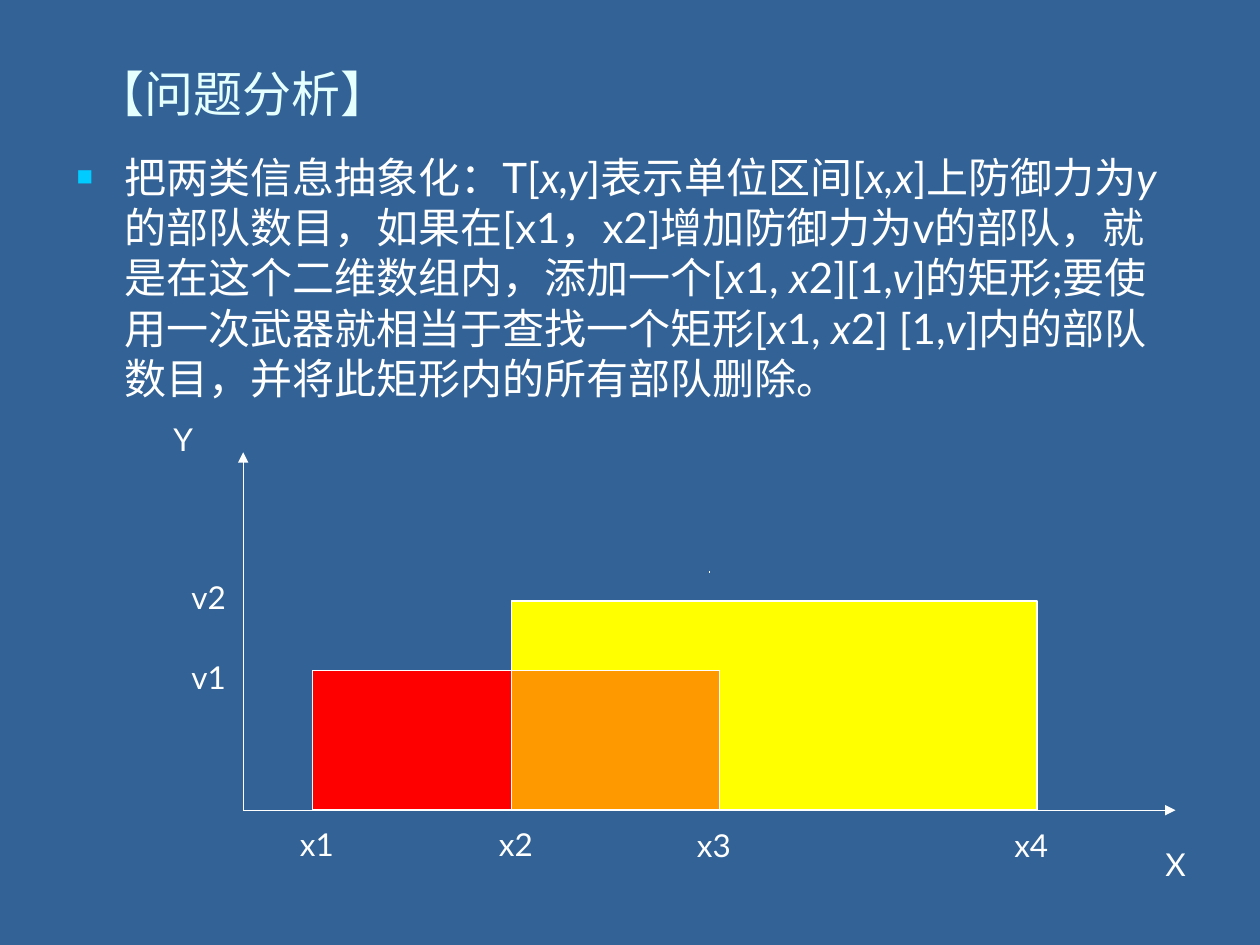
from collections import namedtuple

from lxml import etree
from pptx import Presentation
from pptx.dml.color import RGBColor
from pptx.enum.shapes import MSO_CONNECTOR, MSO_SHAPE
from pptx.enum.text import MSO_ANCHOR, PP_ALIGN
from pptx.oxml.ns import qn
from pptx.util import Inches, Pt

STRAIGHT = MSO_CONNECTOR.STRAIGHT
RECTANGLE = MSO_SHAPE.RECTANGLE
TOP, MIDDLE = MSO_ANCHOR.TOP, MSO_ANCHOR.MIDDLE
LEFT, CENTER = PP_ALIGN.LEFT, PP_ALIGN.CENTER

WIDTH, HEIGHT = Inches(10), Inches(7.5)
COLUMN, ROW = WIDTH / 100, HEIGHT / 75
FONT = "Lato"
COLORS = {
    "background": "326296", "title": "E5FFFF", "text": "FFFFFF",
    "bullet": "00CCFF", "first": "FF0000", "second": "FFFF00",
    "overlap": "FF9900",
}

# Boxes are measured in columns and rows of the page grid
Box = namedtuple("Box", "left top width height")

TITLE = "【问题分析】"
# Every second piece is italic
BODY = [
    "把两类信息抽象化：T[", "x,y", "]表示单位区间[", "x,x", "]上防御力为", "y",
    "的部队数目，如果在[x1，x2]增加防御力为v的部队，就是在这个二维数组内，添加一个[",
    "x", "1, ", "x", "2][1,", "v",
    "]的矩形;要使用一次武器就相当于查找一个矩形[",
    "x", "1, ", "x", "2] [1,", "v",
    "]内的部队数目，并将此矩形内的所有部队删除。",
]


def color(name):
    return RGBColor.from_string(COLORS[name])


def place(box):
    return (round(box.left * COLUMN), round(box.top * ROW),
            round(box.width * COLUMN), round(box.height * ROW))


def add_text(page, box, pieces, size, ink="text", align=CENTER, anchor=MIDDLE):
    frame = page.shapes.add_textbox(*place(box)).text_frame
    for name, value in {"word_wrap": True, "vertical_anchor": anchor}.items():
        setattr(frame, name, value)
    para = frame.paragraphs[0]
    para.alignment = align
    # Punctuation stays inside the right margin
    para._p.get_or_add_pPr().set("hangingPunct", "0")
    for index, piece in enumerate(pieces):
        span = para.add_run()
        span.text = piece
        style = {"name": FONT, "size": Pt(size), "italic": index % 2 == 1}
        for name, value in style.items():
            setattr(span.font, name, value)
        span.font.color.rgb = color(ink)
    return para


def add_bullet(para, indent):
    properties = para._p.get_or_add_pPr()
    properties.set("marL", str(indent))
    properties.set("indent", str(-indent))
    tint = etree.SubElement(properties, qn("a:buClr"))
    etree.SubElement(tint, qn("a:srgbClr"), val=COLORS["bullet"])
    etree.SubElement(properties, qn("a:buSzPct"), val="65000")
    etree.SubElement(properties, qn("a:buFont"), typeface="Arial")
    etree.SubElement(properties, qn("a:buChar"), char="■")


def add_line(page, start, end, arrow=True):
    points = [round(value * unit) for point in (start, end)
              for value, unit in zip(point, (COLUMN, ROW))]
    connector = page.shapes.add_connector(STRAIGHT, *points)
    connector.line.color.rgb = color("text")
    connector.line.width = Pt(0.75)
    etree.SubElement(connector._element.spPr, qn("a:effectLst"))
    if arrow:
        outline = connector.line._get_or_add_ln()
        etree.SubElement(outline, qn("a:tailEnd"), type="triangle")


def add_block(page, box, fill):
    block = page.shapes.add_shape(RECTANGLE, *place(box))
    block.shadow.inherit = False
    block.fill.solid()
    block.fill.fore_color.rgb = color(fill)
    block.line.color.rgb = color("text")
    block.line.width = Pt(0.75)


def add_title(page, box):
    add_text(page, box, [TITLE], 28, ink="title")


def add_body(page, box):
    para = add_text(page, box, BODY, 24, align=LEFT, anchor=TOP)
    add_bullet(para, Inches(0.38))


def add_diagram(page, box):
    """Draw the axes and areas; the origin is the lower left of the box."""
    base = box.top + box.height

    def at(x, y):
        return box.left + x, base - y

    x1, x2, x3, x4 = 5.5, 21.3, 37.8, 63
    v1, v2 = 11.1, 16.6

    # Overlapping areas
    for left, right, top, fill in [
        (x2, x4, v2, "second"), (x1, x3, v1, "first"), (x2, x3, v1, "overlap"),
    ]:
        add_block(page, Box(*at(left, top), right - left, top), fill)

    # Axes and the small dot above the areas
    add_line(page, at(0, 0), at(0, box.height))
    add_line(page, at(0, 0), at(box.width, 0))
    add_line(page, at(37, 18.9), at(37.03, 18.9), arrow=False)

    # Labels: text, centre from the origin, width
    height = 4
    for label, x, y, width in [
        ("Y", -4.75, 29.5, 4.7), ("X", box.width, -4.3, 7.9),
        ("v1", -2.75, 10.6, 7.1), ("v2", -2.75, 16.9, 7.1),
        ("x1", x1 + 0.35, -2.7, 5.5), ("x2", x2 + 0.35, -2.7, 5.5),
        ("x3", x3 - 0.45, -2.8, 5.5), ("x4", x4 - 0.45, -2.8, 5.5),
    ]:
        corner = at(x - width / 2, y + height / 2)
        add_text(page, Box(*corner, width, height), [label], 18)


def main():
    deck = Presentation()
    deck.slide_width, deck.slide_height = WIDTH, HEIGHT
    page = deck.slides.add_slide(deck.slide_layouts[6])
    page.background.fill.solid()
    page.background.fill.fore_color.rgb = color("background")

    add_title(page, Box(5, 4.1, 28.5, 6.6))
    add_body(page, Box(5.1, 11.5, 90, 21.3))
    add_diagram(page, Box(19.3, 35.9, 74, 28.4))
    deck.save("out.pptx")


if __name__ == "__main__":
    main()
